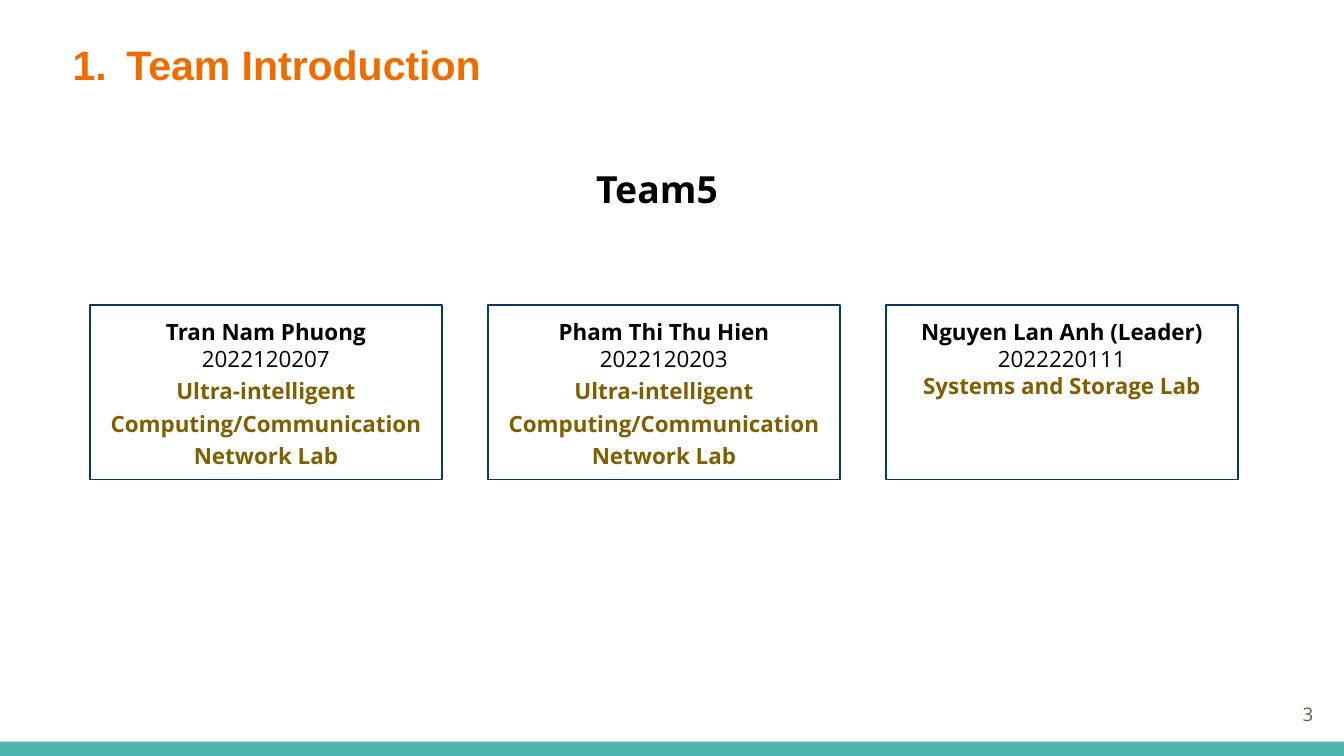
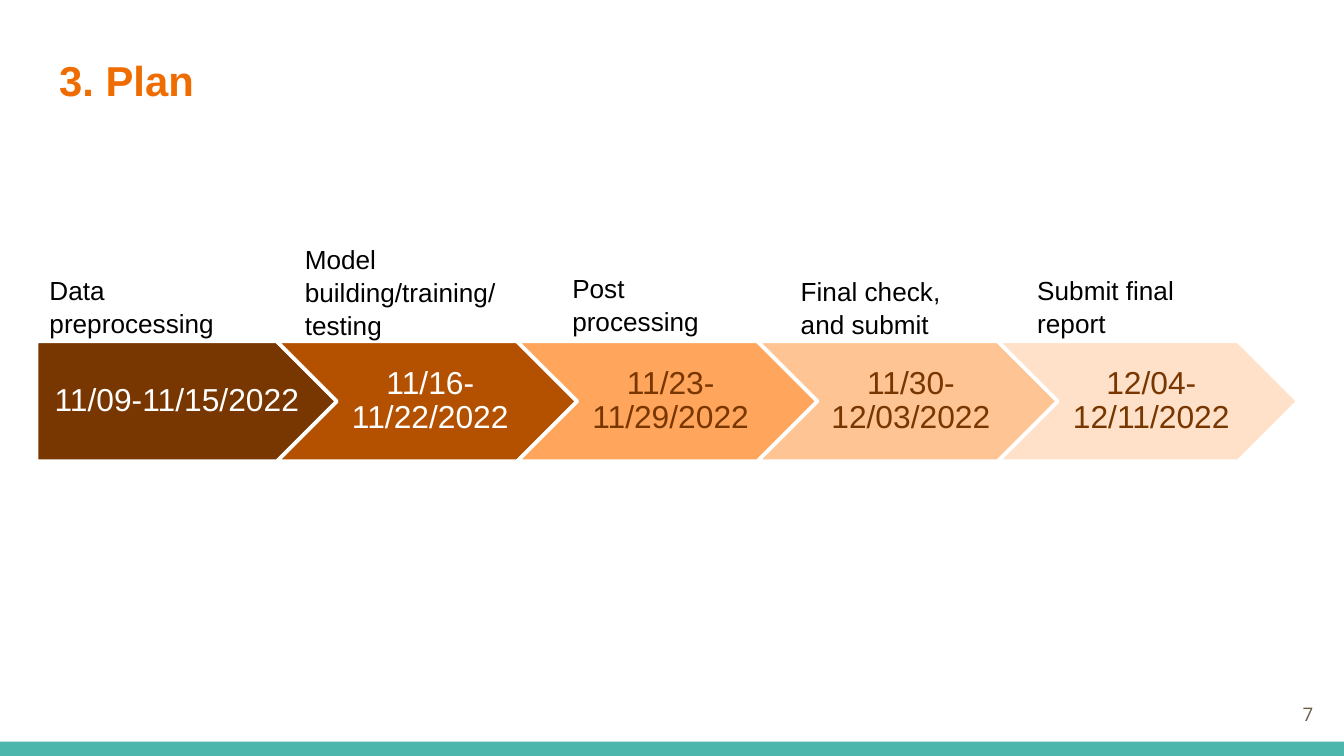
import pptx
import pptx.util
import pptx.dml.color
import pptx.enum.shapes
import pptx.enum.text
import pptx.oxml.ns
import lxml.etree

Pt = pptx.util.Pt
ALIGN = pptx.enum.text.PP_ALIGN
ANCHOR = pptx.enum.text.MSO_ANCHOR
SHAPE = pptx.enum.shapes.MSO_SHAPE

COLORS = {
    "title": "EF6C00", "band": "4DB6AC", "number": "695D46",
    "text": "000000", "lab": "7F6000", "frame": "073763",
    "white": "FFFFFF", "brown": "783600", "rust": "B35100",
    "orange": "FFA65C", "peach": "FFC493", "cream": "FFE1C9",
}
HEADING_FONT = "Arial"
BODY_FONT = "Open Sans"
WIDTH, HEIGHT = 720, 405
INSETS = (7.2, 7.2, 7.2, 7.2)

TEAM = "Team5"
NETWORK_LAB = "Ultra-intelligent Computing/Communication Network Lab"
# name, student number, lab, line spacing of the lab
MEMBERS = [
    ("Tran Nam Phuong", "2022120207", NETWORK_LAB, 1.2),
    ("Pham Thi Thu Hien", "2022120203", NETWORK_LAB, 1.2),
    ("Nguyen Lan Anh (Leader)", "2022220111", "Systems and Storage Lab", 1.0),
]
# dates, fill, font colour, task, box of the task (left, top, width, height)
STEPS = [
    ("11/09-11/15/2022", "brown", "white",
     "Data preprocessing", (19.44, 142.5, 131.8, 41)),
    ("11/16-11/22/2022", "rust", "white",
     "Model building/training/testing", (156.2, 126, 118.8, 58.3)),
    ("11/23-11/29/2022", "orange", "brown",
     "Post processing", (299.5, 141.8, 110.9, 41)),
    ("11/30-12/03/2022", "peach", "brown",
     "Final check, and submit", (421.9, 143.3, 110.9, 41)),
    ("12/04-12/11/2022", "cream", "brown",
     "Submit final report", (548.6, 142.5, 110.9, 41)),
]


def color(name):
    """Return the named colour."""
    return pptx.dml.color.RGBColor.from_string(COLORS[name])


def set_frame(shape, insets=INSETS, anchor=ANCHOR.TOP):
    """Set wrapping, insets and anchor of a shape's text and return its frame."""
    frame = shape.text_frame
    frame.word_wrap = True
    frame.auto_size = pptx.enum.text.MSO_AUTO_SIZE.NONE
    frame.vertical_anchor = anchor
    (frame.margin_left, frame.margin_top,
     frame.margin_right, frame.margin_bottom) = map(Pt, insets)
    return frame


def set_paragraph(paragraph, text, size, font, color_name, bold=False,
                  align=ALIGN.LEFT, spacing=1.0):
    """Write one paragraph and format it."""
    paragraph.text = text
    paragraph.alignment = align
    paragraph.line_spacing = spacing
    for run in paragraph.runs:
        run.font.size = Pt(size)
        run.font.name = font
        run.font.bold = bold
        run.font.color.rgb = color(color_name)


def add_shape(slide, kind, box, fill=None, line=None, line_width=1):
    """Add a flat preset shape."""
    shape = slide.shapes.add_shape(kind, *map(Pt, box))
    shape.shadow.inherit = False
    if fill:
        shape.fill.solid()
        shape.fill.fore_color.rgb = color(fill)
    else:
        shape.fill.background()
    if line:
        shape.line.color.rgb = color(line)
        shape.line.width = Pt(line_width)
    else:
        shape.line.fill.background()
    return shape


def add_text(slide, box, text, size, font, color_name, insets=INSETS,
             anchor=ANCHOR.TOP, **style):
    """Add a text box with one paragraph."""
    frame = set_frame(slide.shapes.add_textbox(*map(Pt, box)), insets, anchor)
    set_paragraph(frame.paragraphs[0], text, size, font, color_name, **style)


def add_number_bullet(paragraph):
    """Give a paragraph automatic numbering in the title colour."""
    properties = paragraph._p.get_or_add_pPr()
    properties.set("marL", str(Pt(36)))
    properties.set("indent", str(-Pt(28.8)))
    qname = pptx.oxml.ns.qn
    bullet_color = lxml.etree.SubElement(properties, qname("a:buClr"))
    lxml.etree.SubElement(bullet_color, qname("a:srgbClr"), val=COLORS["title"])
    lxml.etree.SubElement(properties, qname("a:buFont"), typeface=HEADING_FONT)
    lxml.etree.SubElement(properties, qname("a:buAutoNum"), type="arabicPeriod")


def add_slide(presentation, title, box, size, number):
    """Add a slide with its title and page number; return slide and title."""
    slide = presentation.slides.add_slide(presentation.slide_layouts[5])
    shape = slide.shapes.title
    shape.left, shape.top, shape.width, shape.height = map(Pt, box)
    paragraph = set_frame(shape).paragraphs[0]
    set_paragraph(paragraph, title, size, HEADING_FONT, "title", bold=True,
                  spacing=1.1)
    add_text(slide, (667.4, 367.2, 43.2, 31), number, 10, BODY_FONT, "number",
             anchor=ANCHOR.MIDDLE, align=ALIGN.RIGHT)
    return slide, paragraph


def add_band(slide):
    """Put the bottom band on the layout that the slides share."""
    band = add_shape(slide, SHAPE.RECTANGLE, (0, 397.4, WIDTH, HEIGHT - 397.4),
                     fill="band")
    slide.slide_layout.shapes.element.append(band.element)


def build_team(presentation):
    """Build the slide with one card per team member."""
    slide, title = add_slide(presentation, "Team Introduction",
                             (24.5, 11.5, 671, 38.9), 22, "3")
    add_number_bullet(title)
    add_band(slide)
    add_text(slide, (300.2, 82.1, 103.7, 38.9), TEAM, 20, BODY_FONT, "text",
             bold=True, align=ALIGN.CENTER)
    for index, (name, student_number, lab, spacing) in enumerate(MEMBERS):
        card = add_shape(slide, SHAPE.RECTANGLE,
                         (48.2 + index * 213.2, 163.4, 188.6, 93.6),
                         line="frame", line_width=0.75)
        frame = set_frame(card)
        frame.text = "\n".join((name, student_number, lab))
        styles = [("text", True, 1.0), ("text", False, 1.0),
                  ("lab", True, spacing)]
        for paragraph, (ink, bold, gap) in zip(frame.paragraphs, styles):
            set_paragraph(paragraph, paragraph.text, 12, BODY_FONT, ink,
                          bold=bold, align=ALIGN.CENTER, spacing=gap)


def build_plan(presentation):
    """Build the slide with the chain of dated steps."""
    slide, _ = add_slide(presentation, "3. Plan",
                         (24.5, 19.4, 671, 55.4), 22.4, "7")
    for index, (dates, fill, ink, task, task_box) in enumerate(STEPS):
        first = index == 0
        arrow = add_shape(slide, SHAPE.PENTAGON if first else SHAPE.CHEVRON,
                          (19.6 + index * 128.74, 182.9, 160.9, 64.3),
                          fill=fill, line="white", line_width=2)
        frame = set_frame(arrow, (7.2 if first else 5, 3.6, 1.4, 3.6),
                          ANCHOR.MIDDLE)
        set_paragraph(frame.paragraphs[0], dates, 17, HEADING_FONT, ink,
                      align=ALIGN.CENTER, spacing=0.9)
        add_text(slide, task_box, task, 14, HEADING_FONT, "text",
                 insets=(7.2, 3.6, 7.2, 3.6), spacing=1.05)


presentation = pptx.Presentation()
presentation.slide_width = Pt(WIDTH)
presentation.slide_height = Pt(HEIGHT)
build_team(presentation)
build_plan(presentation)
presentation.save("out.pptx")
